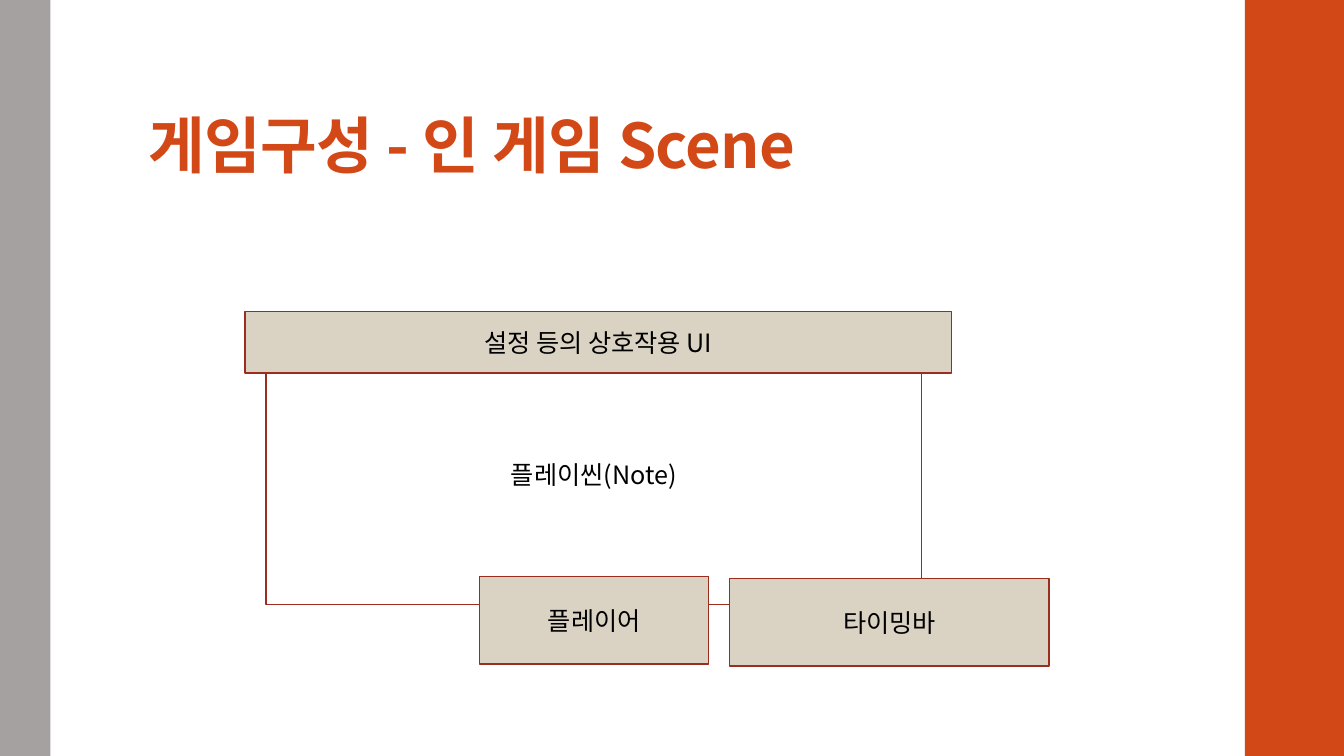
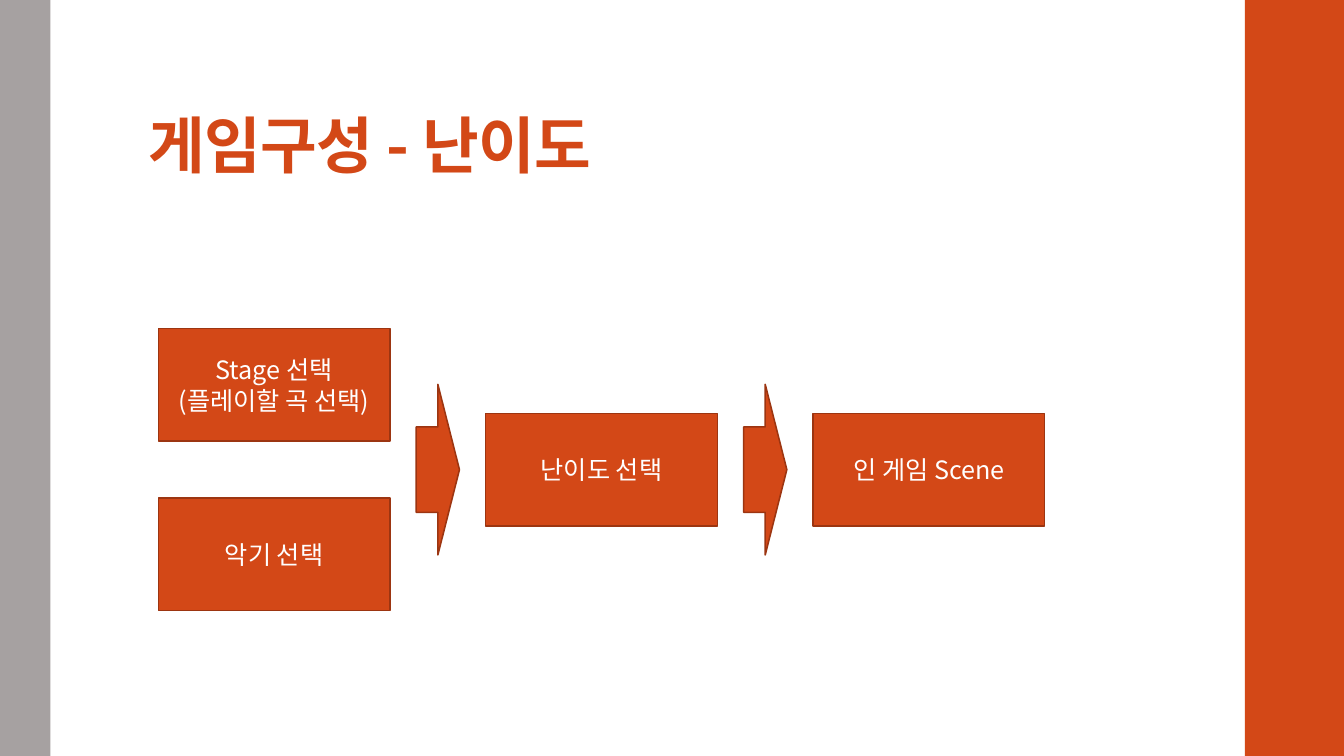
from dataclasses import dataclass

from lxml import etree
from pptx import Presentation
from pptx.dml import color
from pptx.enum import shapes, text
from pptx.oxml import ns
from pptx.util import Cm, Pt

rgb = color.RGBColor.from_string


@dataclass(frozen=True)
class Theme:
    font: str = "Noto Sans CJK KR"
    title_size: int = 44
    body_size: int = 18
    line_width: float = 1.1
    accent: str = "D34817"
    accent_line: str = "9C3511"
    grey: str = "A6A1A1"
    beige: str = "DAD2C3"
    red_line: str = "9B2D1F"
    white: str = "FFFFFF"
    black: str = "000000"


THEME = Theme()
PAGE_WIDTH, PAGE_HEIGHT = 33.87, 19.05


def style_text(frame, size, ink, bold=False):
    for para in frame.paragraphs:
        for span in para.runs:
            span.font.name = THEME.font
            span.font.size = Pt(size)
            span.font.bold = bold
            span.font.color.rgb = rgb(ink)
            east_asian = etree.SubElement(span.font._element, ns.qn("a:ea"))
            east_asian.set("typeface", THEME.font)


def add_block(page, place, fill, line=None, label="", ink=THEME.white,
              kind=shapes.MSO_SHAPE.RECTANGLE):
    block = page.shapes.add_shape(kind, *map(Cm, place))
    block.shadow.inherit = False
    block.fill.solid()
    block.fill.fore_color.rgb = rgb(fill)
    if line:
        block.line.color.rgb = rgb(line)
        block.line.width = Pt(THEME.line_width)
    else:
        block.line.fill.background()
    if label:
        frame = block.text_frame
        frame.text = label
        frame.word_wrap = True
        frame.vertical_anchor = text.MSO_ANCHOR.MIDDLE
        for para in frame.paragraphs:
            para.alignment = text.PP_ALIGN.CENTER
        style_text(frame, THEME.body_size, ink)


def add_title(page, title):
    box = page.shapes.add_textbox(Cm(3.5), Cm(0.81), Cm(26.92), Cm(3.89))
    frame = box.text_frame
    frame.word_wrap = True
    frame.vertical_anchor = text.MSO_ANCHOR.BOTTOM
    frame.margin_top, frame.margin_bottom = Cm(0.08), Cm(0.13)
    frame.text = title
    para = frame.paragraphs[0]
    para.line_spacing = 0.9
    style_text(frame, THEME.title_size, THEME.accent, bold=True)
    para.runs[0].font._element.set("spc", "-50")


def add_page(deck, title):
    page = deck.slides.add_slide(deck.slide_layouts[6])
    band_left = 31.37
    add_block(page, (band_left, 0, PAGE_WIDTH - band_left, PAGE_HEIGHT), THEME.accent)
    add_block(page, (0, 0, 1.27, PAGE_HEIGHT), THEME.grey)
    add_title(page, title)
    return page


def build_scene_page(deck):
    page = add_page(deck, "게임구성 - 인 게임 Scene")
    for label, place, fill in (
        ("플레이씬(Note)", (6.71, 8.66, 16.51, 6.58), THEME.white),
        ("타이밍바", (18.39, 14.58, 8.05, 2.21), THEME.beige),
        ("플레이어", (12.09, 14.53, 5.77, 2.21), THEME.beige),
        ("설정 등의 상호작용 UI", (6.17, 7.85, 17.81, 1.55), THEME.beige),
    ):
        add_block(page, place, fill, THEME.red_line, label, THEME.black)


def build_difficulty_page(deck):
    page = add_page(deck, "게임구성 - 난이도")
    left, top, column_step, row_step = 3.99, 8.28, 8.25, 4.27
    width, height = 5.84, 2.84
    arrow_width, arrow_height = 1.09, 4.3
    for label, column, row in (
        ("Stage 선택\n(플레이할 곡 선택)", 0, 0),
        ("악기 선택", 0, 1),
        ("난이도 선택", 1, 0.5),
        ("인 게임 Scene", 2, 0.5),
    ):
        place = (left + column * column_step, top + row * row_step, width, height)
        add_block(page, place, THEME.accent, THEME.accent_line, label)

    arrow_left = left + (column_step + width - arrow_width) / 2
    arrow_top = top + (row_step + height - arrow_height) / 2
    for column in range(2):
        place = (arrow_left + column * column_step, arrow_top, arrow_width, arrow_height)
        add_block(page, place, THEME.accent, THEME.accent_line,
                  kind=shapes.MSO_SHAPE.RIGHT_ARROW)


def main():
    deck = Presentation()
    deck.slide_width, deck.slide_height = Cm(PAGE_WIDTH), Cm(PAGE_HEIGHT)
    build_scene_page(deck)
    build_difficulty_page(deck)
    deck.save("out.pptx")


if __name__ == "__main__":
    main()
